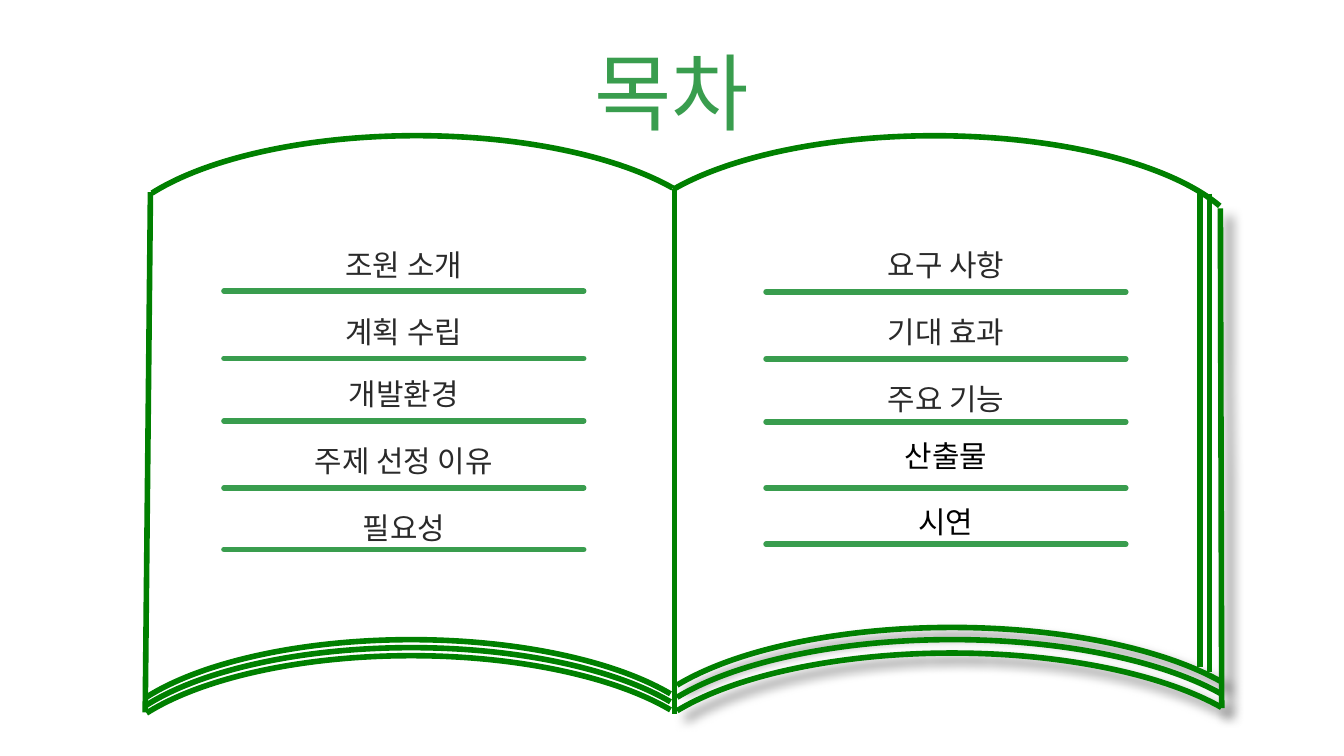
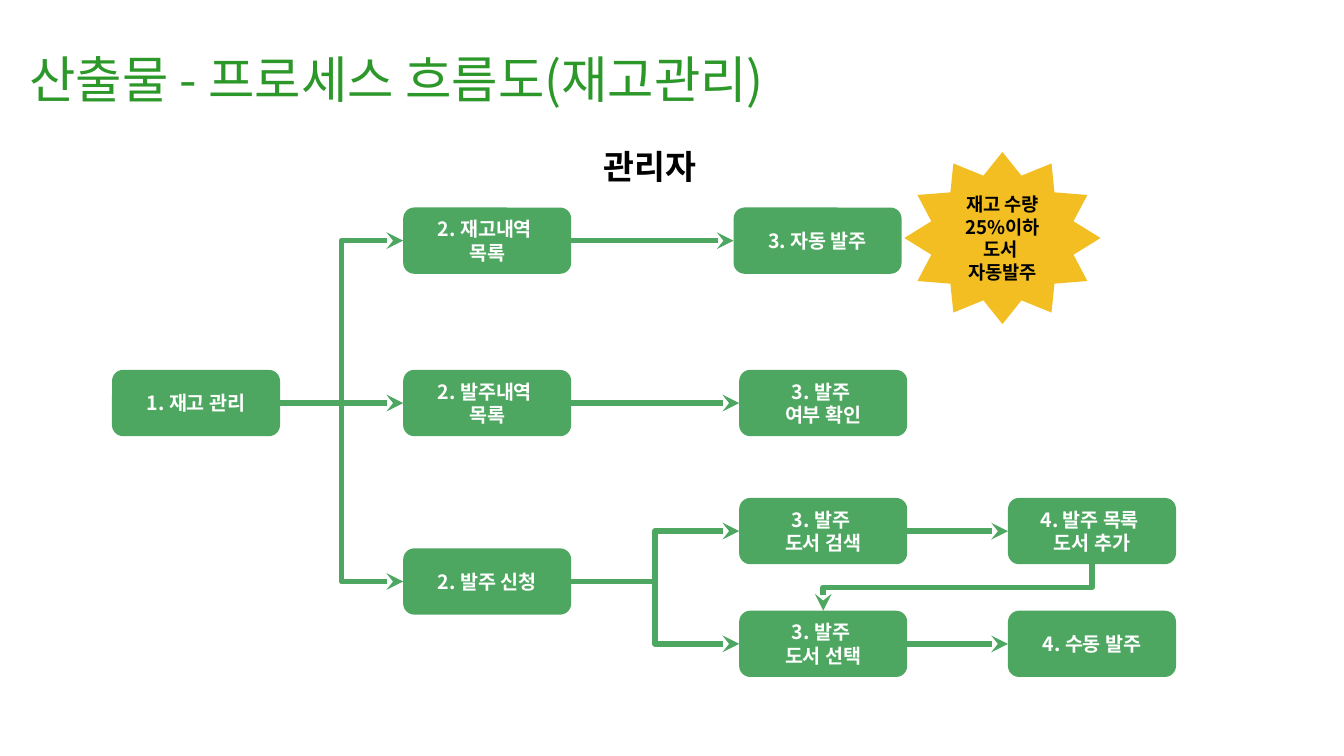
from lxml.etree import SubElement
from pptx import Presentation
from pptx.dml.color import RGBColor
from pptx.enum.shapes import MSO_CONNECTOR, MSO_SHAPE
from pptx.enum.text import MSO_ANCHOR, MSO_AUTO_SIZE, PP_ALIGN
from pptx.oxml.ns import qn
from pptx.util import Pt

FONT = "Noto Sans CJK KR"
GREEN = RGBColor(0x39, 0x9D, 0x4E)
BOOK = RGBColor(0x00, 0x80, 0x00)
FLOW = RGBColor(0x4D, 0xA7, 0x60)
HEAD = RGBColor(0x2C, 0x98, 0x29)
GOLD = RGBColor(0xF2, 0xBE, 0x22)
DARK = RGBColor(0x2A, 0x2A, 0x2A)
BLACK = RGBColor(0, 0, 0)
WHITE = RGBColor(0xFF, 0xFF, 0xFF)

FLAT = (0, 0, 0, 0)
SLIM = (3.6, 1.8, 3.6, 1.8)
BOX_W, BOX_H = 90, 35.5
MENU_W = 192.7

# Each entry: text, top of the text, height of its rule, colour
LEFT = [
    ("조원 소개", 129.6, 156, DARK),
    ("계획 수립", 165.6, 192, DARK),
    ("개발환경", 198.7, 225.5, DARK),
    ("주제 선정 이유", 234.7, 261.4, DARK),
    ("필요성", 270.7, 294.4, DARK),
]
RIGHT = [
    ("요구 사항", 129.6, 156.4, DARK),
    ("기대 효과", 165.6, 192.3, DARK),
    ("주요 기능", 201.6, 226, DARK),
    ("산출물", 231.8, 261.4, BLACK),
    ("시연", 267.1, 291.6, BLACK),
]

# Each entry: left, top, lines of text
STEPS = {
    "stock": (60, 198.2, ["1. 재고 관리"]),
    "items": (216, 111.2, ["2. 재고내역 ", "목록"]),
    "orders": (216, 198.2, ["2. 발주내역 ", "목록"]),
    "apply": (216, 293.8, ["2. 발주 신청"]),
    "auto": (393, 111.2, ["3. 자동 발주"]),
    "check": (396, 198.2, ["3. 발주 ", "여부 확인"]),
    "search": (396, 266.8, ["3. 발주 ", "도서 검색"]),
    "pick": (396, 327.2, ["3. 발주 ", "도서 선택"]),
    "add": (540, 266.8, ["4. 발주 목록 ", "도서 추가"]),
    "manual": (540, 327.2, ["4. 수동 발주"]),
}
LINKS = [
    ("stock", "items"), ("stock", "orders"), ("stock", "apply"),
    ("items", "auto"), ("orders", "check"),
    ("apply", "search"), ("apply", "pick"),
    ("search", "add"), ("pick", "manual"),
]


def write(frame, lines, size, color, bold=False, align=PP_ALIGN.CENTER,
          space=None, inset=SLIM, anchor=MSO_ANCHOR.TOP):
    frame.word_wrap = True
    frame.vertical_anchor = anchor
    (frame.margin_left, frame.margin_top,
     frame.margin_right, frame.margin_bottom) = map(Pt, inset)
    for i, text in enumerate(lines):
        para = frame.paragraphs[0] if i == 0 else frame.add_paragraph()
        para.alignment = align
        if space:
            para.line_spacing = space
        run = para.add_run()
        run.text = text
        run.font.name = FONT
        run.font.size = Pt(size)
        run.font.bold = bold
        run.font.color.rgb = color
        SubElement(run._r.get_or_add_rPr(), qn("a:ea"), typeface=FONT)


def label(slide, text, x, y, w, h, size, color, grow=True, **style):
    frame = slide.shapes.add_textbox(Pt(x), Pt(y), Pt(w), Pt(h)).text_frame
    write(frame, [text], size, color, **style)
    if grow:
        frame.auto_size = MSO_AUTO_SIZE.SHAPE_TO_FIT_TEXT


def stroke(shape, color, shade=False):
    """Draw the outline, with either a soft shadow or none."""
    shape.line.color.rgb = color
    shape.line.width = Pt(3)
    props = shape._element.spPr
    effects = SubElement(props, qn("a:effectLst"))
    if shade:
        cast = SubElement(effects, qn("a:outerShdw"), blurRad=str(Pt(6)),
                          dist=str(Pt(6)), dir=str(45 * 60000),
                          algn="tl", rotWithShape="0")
        tint = SubElement(cast, qn("a:srgbClr"), val="000000")
        SubElement(tint, qn("a:alpha"), val="50000")
    return props.find(qn("a:ln"))


def rule(slide, x1, y1, x2, y2, color=BOOK, shade=False):
    line = slide.shapes.add_connector(
        MSO_CONNECTOR.STRAIGHT, Pt(x1), Pt(y1), Pt(x2), Pt(y2))
    return stroke(line, color, shade)


def arc(slide, x, y, w, h, start, end, shade=False):
    """Draw an open arc between two angles in degrees."""
    curve = slide.shapes.add_shape(MSO_SHAPE.ARC, Pt(x), Pt(y), Pt(w), Pt(h))
    curve.adjustments[0] = start * 0.6
    curve.adjustments[1] = end * 0.6
    curve.fill.background()
    stroke(curve, BOOK, shade)


def menu(slide, x, items):
    for text, top, base, color in items:
        label(slide, text, x, top, MENU_W, 21.6, 16, color,
              space=1.13, inset=FLAT)
        rule(slide, x, base, x + MENU_W, base, GREEN).set("cap", "rnd")


def book(slide):
    arc(slide, 56.9, 72.7, 332.6, 128.9, 193.37, 345.14)
    arc(slide, 332.6, 72.7, 336.2, 128.9, 194.31, 350.04)
    for i in range(3):
        arc(slide, 54, 342.7 + 4.3 * i, 332.6, 128.9, 193.37, 345.69)
    for y, shade in ((336.2, True), (342.7, False), (349.9, True)):
        arc(slide, 336.2, y, 347.8, 131.8, 193.37, 345.69, shade)
    rule(slide, 361.4, 101.5, 361.4, 382.3)
    rule(slide, 643, 102.2, 643, 357.1)
    rule(slide, 648, 103.7, 648, 360)
    rule(slide, 653.8, 111.6, 654.5, 379.4, shade=True)
    rule(slide, 80.6, 103, 77.8, 381.6)


def block(slide, kind, x, y, w, h, lines, fill, size, color):
    shape = slide.shapes.add_shape(kind, Pt(x), Pt(y), Pt(w), Pt(h))
    shape.shadow.inherit = False
    shape.fill.solid()
    shape.fill.fore_color.rgb = fill
    shape.line.fill.background()
    write(shape.text_frame, lines, size, color, bold=True,
          anchor=MSO_ANCHOR.MIDDLE)
    return shape


def point(line):
    SubElement(stroke(line, FLOW), qn("a:tailEnd"), type="stealth")


def link(slide, start, end):
    """Join the right side of one box to the left side of another."""
    level = start.top == end.top
    kind = MSO_CONNECTOR.STRAIGHT if level else MSO_CONNECTOR.ELBOW
    line = slide.shapes.add_connector(kind, 0, 0, 0, 0)
    line.begin_connect(start, 3)
    line.end_connect(end, 1)
    point(line)


def turn(slide, start, end):
    """Lead from the bottom of one box down to the top of one on its left."""
    bottom = start.top + start.height
    drop, span = end.top - bottom, start.left - end.left
    x = (start.left + end.left + start.width - drop) // 2
    y = (bottom + end.top - span) // 2
    line = slide.shapes.add_connector(
        MSO_CONNECTOR.ELBOW, x, y, x + drop, y + span)
    line._element.spPr.find(qn("a:xfrm")).set("rot", str(90 * 60000))
    point(line)


def index(deck):
    slide = deck.slides.add_slide(deck.slide_layouts[6])
    label(slide, "목차", 230.4, 10.8, 259.2, 65.5, 45, GREEN,
          space=1.2, inset=FLAT)
    menu(slide, 120, LEFT)
    menu(slide, 410.4, RIGHT)
    book(slide)


def flow(deck):
    slide = deck.slides.add_slide(deck.slide_layouts[6])
    label(slide, "산출물 - 프로세스 흐름도(재고관리)", 12.2, 5.8, 535.7, 33.1,
          27, HEAD, grow=False, align=PP_ALIGN.LEFT, space=2.26,
          inset=(3.6, 0, 3.6, 1.8), anchor=MSO_ANCHOR.MIDDLE)
    label(slide, "관리자", 282.2, 76.3, 131.8, 25.2, 18, BLACK, bold=True)
    boxes = {
        name: block(slide, MSO_SHAPE.ROUNDED_RECTANGLE, x, y, BOX_W, BOX_H,
                    lines, FLOW, 10.5, WHITE)
        for name, (x, y, lines) in STEPS.items()
    }
    for start, end in LINKS:
        link(slide, boxes[start], boxes[end])
    turn(slide, boxes["add"], boxes["pick"])
    block(slide, MSO_SHAPE.STAR_12_POINT, 484.5, 81.4, 105.1, 92.2,
          ["재고 수량 25%이하 도서 ", "자동발주"], GOLD, 10, BLACK)


def main():
    deck = Presentation()
    deck.slide_width, deck.slide_height = Pt(720), Pt(405)
    index(deck)
    flow(deck)
    deck.save("out.pptx")


if __name__ == "__main__":
    main()
